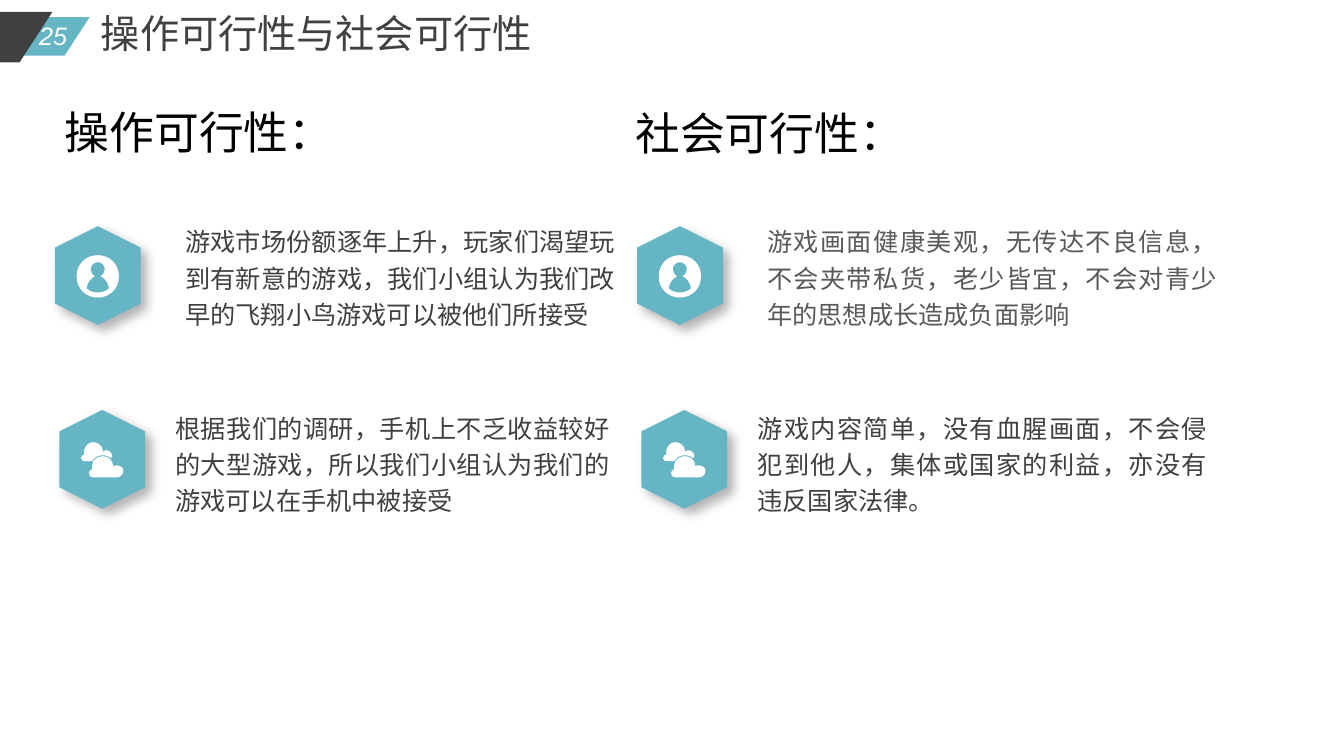
from lxml import etree
from pptx import Presentation
from pptx.dml.color import RGBColor
from pptx.enum.shapes import MSO_SHAPE
from pptx.enum.text import MSO_ANCHOR, MSO_AUTO_SIZE, PP_ALIGN
from pptx.oxml.ns import qn
from pptx.util import Cm, Pt

HEXAGON, PARALLELOGRAM = MSO_SHAPE.HEXAGON, MSO_SHAPE.PARALLELOGRAM
LEFT, CENTER, JUSTIFY = PP_ALIGN.LEFT, PP_ALIGN.CENTER, PP_ALIGN.JUSTIFY
TOP, GROW = MSO_ANCHOR.TOP, MSO_AUTO_SIZE.SHAPE_TO_FIT_TEXT

TEAL, DARK, GREY, WHITE, BLACK = "66B5C4", "404040", "595959", "FFFFFF", "000000"
CJK = "Noto Sans CJK SC"
TITLE_ONLY = 5
ICON_UNIT = Cm(2.54) / 100

# Icon outlines: a start point, then three points for each Bezier curve
PERSON = [
    [(21, 0), (9, 0), (0, 9), (0, 21), (0, 33), (9, 42), (21, 42),
     (33, 42), (42, 33), (42, 21), (42, 9), (33, 0), (21, 0)],
    [(32, 33), (29, 36), (25, 37), (21, 37), (17, 37), (13, 36), (10, 33),
     (10, 33), (10, 32), (10, 32), (11, 27), (14, 23), (18, 21),
     (16, 20), (14, 17), (14, 14), (14, 10), (17, 7), (21, 7),
     (25, 7), (28, 10), (28, 14), (28, 17), (26, 20), (24, 21),
     (28, 23), (31, 27), (32, 32), (32, 32), (32, 33), (32, 33)],
]
CLOUDS = [
    [(22, 14), (25, 14), (27, 15), (29, 17), (31, 19), (32, 21), (32, 24),
     (33, 23), (35, 23), (36, 23), (39, 23), (42, 25), (42, 29),
     (42, 32), (39, 35), (36, 35), (36, 35), (12, 35), (12, 35),
     (9, 35), (8, 33), (8, 31), (8, 29), (9, 27), (11, 27),
     (11, 26), (11, 25), (11, 24), (11, 22), (12, 21), (12, 19),
     (14, 16), (18, 14), (22, 14)],
    [(12, 0), (17, 0), (22, 4), (22, 10), (23, 9), (24, 8), (25, 8),
     (28, 8), (31, 11), (31, 14), (31, 15), (30, 15), (30, 16),
     (28, 14), (25, 13), (22, 13), (17, 13), (13, 15), (11, 19),
     (11, 19), (4, 19), (4, 19), (2, 19), (0, 18), (0, 16),
     (0, 14), (2, 12), (4, 12), (3, 12), (3, 11), (3, 10),
     (3, 5), (7, 0), (12, 0)],
]

# Each column: left, heading left and top, heading, (text, width, colour) per row
COLUMNS = [
    (1.22, 1.38, 2.51, "操作可行性：", [
        ("游戏市场份额逐年上升，玩家们渴望玩到有新意的游戏，我们小组认为我们改早的飞翔小鸟游戏可以被他们所接受", 10.84, DARK),
        ("根据我们的调研，手机上不乏收益较好的大型游戏，所以我们小组认为我们的游戏可以在手机中被接受", 10.95, DARK)]),
    (15.89, 15.76, 2.54, "社会可行性：", [
        ("游戏画面健康美观，无传达不良信息，不会夹带私货，老少皆宜，不会对青少年的思想成长造成负面影响", 11.33, GREY),
        ("游戏内容简单，没有血腥画面，不会侵犯到他人，集体或国家的利益，亦没有违反国家法律。", 11.33, DARK)]),
]
# Each row: hexagon shift, hexagon top, text shift, text top, icon, icon shift and drop
ROWS = [
    (0, 5.7, 3.45, 5.56, PERSON, 0.71, 0.73),
    (0.11, 10.33, 3.2, 10.26, CLOUDS, 0.71, 0.81),
]


def colour(code):
    return RGBColor.from_string(code)


def paint(shape, code):
    shape.fill.solid()
    shape.fill.fore_color.rgb = colour(code)
    shape.line.fill.background()
    shape.shadow.inherit = False


def write(box, text, size, code, font=CJK, align=LEFT, spacing=1.0,
          wrap=True, margin=None, italic=False):
    frame = box.text_frame
    frame.text = text
    settings = {"word_wrap": wrap, "auto_size": GROW, "vertical_anchor": TOP}
    if margin is not None:
        for side in ("left", "right", "top", "bottom"):
            settings["margin_" + side] = Cm(margin)
    for name, value in settings.items():
        setattr(frame, name, value)
    para = frame.paragraphs[0]
    para.alignment, para.line_spacing = align, spacing
    span = para.runs[0]
    formats = {"size": Pt(size), "name": font, "italic": italic, "bold": False}
    for name, value in formats.items():
        setattr(span.font, name, value)
    span.font.color.rgb = colour(code)
    etree.SubElement(span.font._element, qn("a:ea"), typeface=CJK)


def add_text(page, box, *args, **formats):
    write(page.shapes.add_textbox(*map(Cm, box)), *args, **formats)


def add_soft_shadow(shape):
    effects = shape._element.spPr.find(qn("a:effectLst"))
    shadow = etree.SubElement(effects, qn("a:outerShdw"), blurRad=str(Pt(8)),
                              dist=str(Pt(6)), dir="2700000", algn="tl", rotWithShape="0")
    tint = etree.SubElement(shadow, qn("a:srgbClr"), val=BLACK)
    etree.SubElement(tint, qn("a:alpha"), val="30000")


def bend(shape):
    """Join every three straight segments into one Bezier curve."""
    segments = list(shape._element.iter(qn("a:lnTo")))
    for i in range(0, len(segments), 3):
        curve = etree.Element(qn("a:cubicBezTo"))
        segments[i].addprevious(curve)
        for segment in segments[i:i + 3]:
            curve.append(segment[0])
            segment.getparent().remove(segment)


def add_icon(page, left, top, outlines):
    builder = page.shapes.build_freeform(*outlines[0][0], scale=ICON_UNIT)
    for number, points in enumerate(outlines):
        if number:
            builder.move_to(*points[0])
        builder.add_line_segments(points[1:], close=True)
    icon = builder.convert_to_shape(Cm(left), Cm(top))
    bend(icon)
    paint(icon, WHITE)


def add_badge(page, left, top, icon, shift, drop):
    # The hexagon is laid out lying down, then turned upright
    length, breadth = 2.49, 2.16
    inset = (length - breadth) / 2
    hexagon = page.shapes.add_shape(HEXAGON, Cm(left), Cm(top + inset),
                                    Cm(length), Cm(breadth))
    hexagon.rotation = 90
    paint(hexagon, TEAL)
    add_soft_shadow(hexagon)
    add_icon(page, left + shift, top + drop, icon)


def add_header(page, left, top):
    # Slanted tabs running in from the left edge
    for x, y, width, height, code in ((-2.79, 0.13, 5.05, 0.97, TEAL),
                                      (-5.28, 0, 6.6, 1.27, DARK)):
        tab = page.shapes.add_shape(PARALLELOGRAM, Cm(left + x), Cm(top + y),
                                    Cm(width), Cm(height))
        tab.adjustments[0] = 0.65
        paint(tab, code)
    # Page number and title
    add_text(page, (left + 0.69, top + 0.08, 1.3, 1.02), "25", 18, WHITE,
             font="Arial", align=CENTER, wrap=False, italic=True)
    title = page.shapes.title
    place = {"left": left + 2.29, "top": top - 0.2, "width": 11.46, "height": 1.45}
    for name, value in place.items():
        setattr(title, name, Cm(value))
    write(title, "操作可行性与社会可行性", 28, DARK, wrap=False)


def add_column(page, left, head_left, head_top, heading, texts):
    add_text(page, (head_left, head_top, 9.42, 1.63), heading, 32, BLACK, font="Arial")
    for (text, width, code), row in zip(texts, ROWS):
        badge_shift, badge_top, text_shift, text_top, icon, shift, drop = row
        add_badge(page, left + badge_shift, badge_top, icon, shift, drop)
        add_text(page, (left + text_shift, text_top, width, 2.64), text, 18, code,
                 align=JUSTIFY, spacing=1.2, margin=0)


def main():
    deck = Presentation()
    deck.slide_width, deck.slide_height = Cm(33.87), Cm(19.05)
    page = deck.slides.add_slide(deck.slide_layouts[TITLE_ONLY])
    add_header(page, 0, 0.3)
    for column in COLUMNS:
        add_column(page, *column)
    deck.save("out.pptx")


if __name__ == "__main__":
    main()
